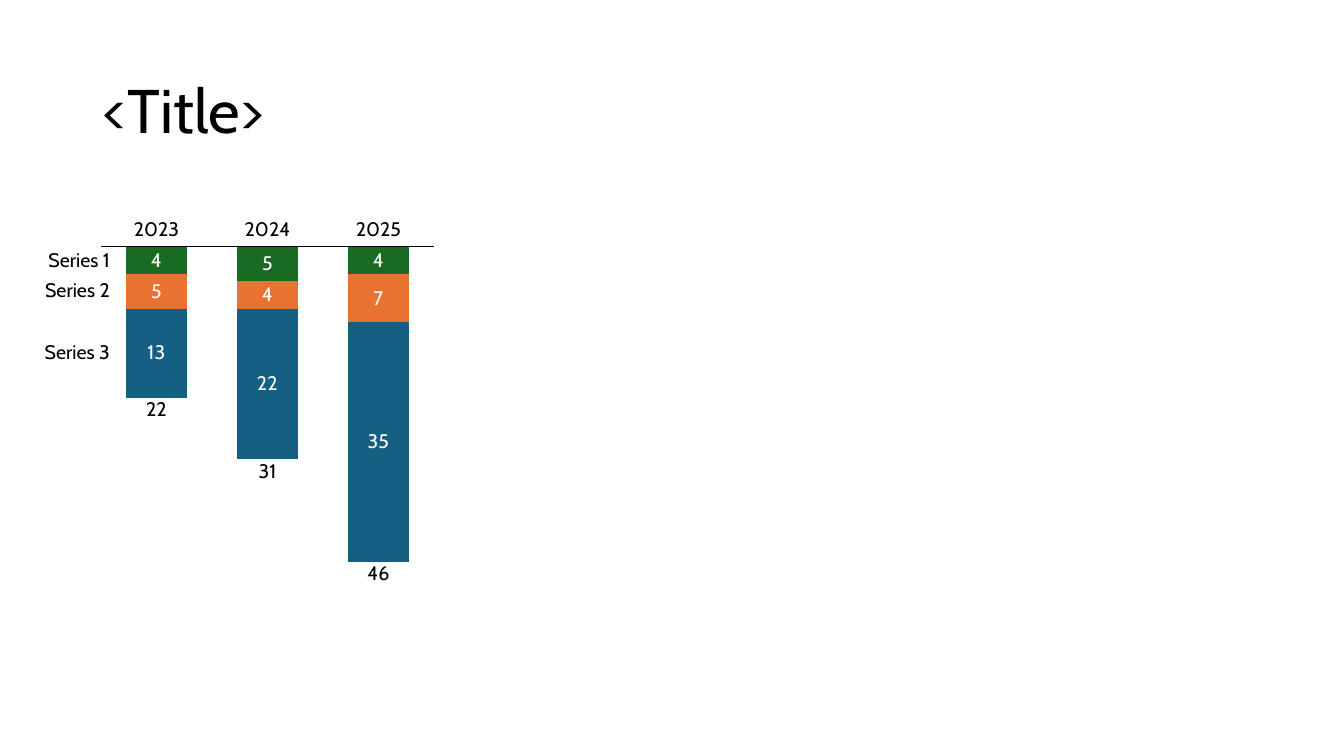
from lxml import etree
from pptx import Presentation
from pptx.chart.data import CategoryChartData
from pptx.dml.color import RGBColor
from pptx.enum.chart import XL_CHART_TYPE as ChartType
from pptx.enum.chart import XL_TICK_LABEL_POSITION as TickLabels
from pptx.enum.chart import XL_TICK_MARK as TickMark
from pptx.enum.text import MSO_ANCHOR as Anchor
from pptx.enum.text import PP_ALIGN as Align
from pptx.oxml.ns import qn
from pptx.util import Emu, Pt

TITLE = "<Title>"
YEARS = ["2023", "2024", "2025"]
SERIES = [
    ("Series 1", "196B24", [4, 5, 4]),
    ("Series 2", "E97132", [5, 4, 7]),
    ("Series 3", "156082", [13, 22, 35]),
]
FONT, BLACK, WHITE = "Cabin", "000000", "FFFFFF"

# Lengths in px, 100.8 to the inch
CHART = (92, 213, 352, 383)
PLOT = (101, 247, 333, 315)
LABEL_HEIGHT = 21
YEAR_WIDTH, TOTAL_WIDTH, NAME_WIDTH = 54, 36, 67
NAME_LEFT = 43


def px(length):
    return Emu(round(length * 914400 / 100.8))


def color(hex_code):
    return RGBColor.from_string(hex_code)


def set_font(font, size, hex_code):
    font.name, font.size = FONT, Pt(size)
    font.color.rgb = color(hex_code)


def add_text(slide, text, left, top, width, height, size=14, align=Align.CENTER,
             anchor=Anchor.MIDDLE, inset_x=0, inset_y=0, wrap=False):
    box = slide.shapes.add_textbox(*map(px, (left, top, width, height)))
    frame = box.text_frame
    frame.word_wrap, frame.vertical_anchor = wrap, anchor
    frame.margin_left = frame.margin_right = px(inset_x)
    frame.margin_top = frame.margin_bottom = px(inset_y)
    paragraph = frame.paragraphs[0]
    paragraph.alignment, paragraph.line_spacing = align, 0.9
    run = paragraph.add_run()
    run.text = text
    set_font(run.font, size, BLACK)


def place_plot(chart):
    """Fix the inner plot area at PLOT, as fractions of the chart frame."""
    plot_area = chart._chartSpace.chart.plotArea
    for old in plot_area.findall(qn("c:layout")):
        plot_area.remove(old)
    layout = etree.Element(qn("c:layout"))
    manual = etree.SubElement(layout, qn("c:manualLayout"))
    left, top, width, height = CHART
    settings = [
        ("layoutTarget", "inner"), ("xMode", "edge"), ("yMode", "edge"),
        ("x", (PLOT[0] - left) / width), ("y", (PLOT[1] - top) / height),
        ("w", PLOT[2] / width), ("h", PLOT[3] / height),
    ]
    for name, value in settings:
        etree.SubElement(manual, qn(f"c:{name}")).set("val", str(value))
    plot_area.insert(0, layout)


def add_hanging_columns(slide, maximum):
    data = CategoryChartData(number_format="0")
    data.categories = YEARS
    for name, _, values in SERIES:
        data.add_series(name, values)
    frame = slide.shapes.add_chart(ChartType.COLUMN_STACKED, *map(px, CHART), data)
    chart = frame.chart
    chart.has_legend = chart.has_title = False
    set_font(chart.font, 10, BLACK)
    place_plot(chart)

    years = chart.category_axis
    years.tick_label_position = TickLabels.NONE
    years.major_tick_mark = years.minor_tick_mark = TickMark.NONE
    years.format.line.color.rgb = color(BLACK)
    years.format.line.width = Pt(0.75)

    scale = chart.value_axis
    scale.minimum_scale, scale.maximum_scale = 0, maximum
    scale.reverse_order = True
    scale.has_major_gridlines = scale.visible = False

    plot = chart.plots[0]
    plot.gap_width, plot.overlap, plot.vary_by_categories = 80, 100, False
    for series, (_, hex_code, _) in zip(plot.series, SERIES):
        series.format.fill.solid()
        series.format.fill.fore_color.rgb = color(hex_code)
        labels = series.data_labels
        labels.show_value = True
        set_font(labels.font, 14, WHITE)


def main():
    presentation = Presentation()
    presentation.slide_width, presentation.slide_height = px(1344), px(756)
    slide = presentation.slides.add_slide(presentation.slide_layouts[6])

    totals = [sum(column) for column in zip(*(values for _, _, values in SERIES))]
    maximum = max(totals)
    add_hanging_columns(slide, maximum)

    left, axis, width, height = PLOT
    step, unit = width / len(YEARS), height / maximum
    for index, (year, total) in enumerate(zip(YEARS, totals)):
        center = left + step * (index + 0.5)
        add_text(slide, year, center - YEAR_WIDTH / 2, axis - 27, YEAR_WIDTH,
                 LABEL_HEIGHT, anchor=Anchor.BOTTOM)
        add_text(slide, str(total), center - TOTAL_WIDTH / 2,
                 axis + total * unit + 2, TOTAL_WIDTH, LABEL_HEIGHT,
                 anchor=Anchor.TOP, inset_x=3)

    # Series names sit beside the first column, clear of the axis line
    bottom = 0
    for name, _, values in SERIES:
        middle = axis + (bottom + values[0] / 2) * unit
        top = max(middle - LABEL_HEIGHT / 2, axis + 3)
        add_text(slide, name, NAME_LEFT, top, NAME_WIDTH, LABEL_HEIGHT,
                 align=Align.RIGHT)
        bottom += values[0]

    add_text(slide, TITLE, 93, 41, 1159, 146, size=44, align=Align.LEFT,
             inset_x=10, inset_y=5, wrap=True)
    presentation.save("out.pptx")


if __name__ == "__main__":
    main()
